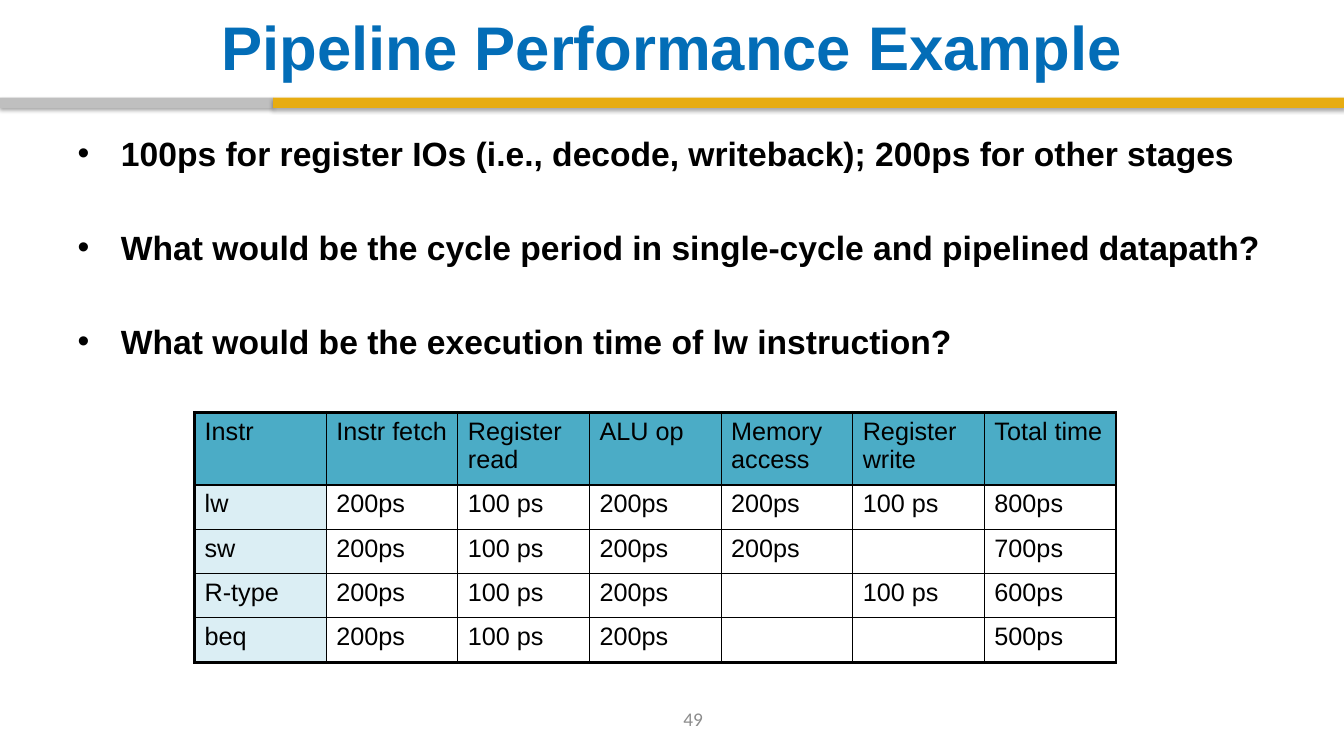
"""Build the slide on pipeline performance, with its table of stage times."""
import pptx
import pptx.dml.color
import pptx.enum.shapes
import pptx.enum.text
import pptx.oxml
import pptx.oxml.ns
import pptx.util

Inches, Pt = pptx.util.Inches, pptx.util.Pt
Align, Anchor = pptx.enum.text.PP_ALIGN, pptx.enum.text.MSO_ANCHOR
NS = pptx.oxml.ns.nsdecls("a")

BLUE, GOLD, GREY, BLACK = "036DB7", "E7AC11", "8C8C8C", "000000"
TITLE = "Pipeline Performance Example"
POINTS = [
    "100ps for register IOs (i.e., decode, writeback); 200ps for other stages",
    "What would be the cycle period in single-cycle and pipelined datapath?",
    "What would be the execution time of lw instruction?",
]
TIMES = [
    ["Instr", "Instr fetch", "Register read", "ALU op", "Memory access",
     "Register write", "Total time"],
    ["lw", "200ps", "100 ps", "200ps", "200ps", "100 ps", "800ps"],
    ["sw", "200ps", "100 ps", "200ps", "200ps", "", "700ps"],
    ["R-type", "200ps", "100 ps", "200ps", "", "100 ps", "600ps"],
    ["beq", "200ps", "100 ps", "200ps", "", "", "500ps"],
]
BARS = [(0, 2.71, "BFBFBF"), (2.71, 10.62, GOLD)]
PAGE = "49"


def tint(hue):
    return pptx.dml.color.RGBColor.from_string(hue)


def write(para, text, size, hue, face="Arial", bold=False):
    run = para.add_run()
    run.text = text
    font = run.font
    font.name, font.size, font.bold = face, Pt(size), bold
    font.color.rgb = tint(hue)


def place(shape, box):
    shape.left, shape.top, shape.width, shape.height = map(Inches, box)
    frame = shape.text_frame
    frame.auto_size = pptx.enum.text.MSO_AUTO_SIZE.NONE
    return frame


def add_bar(slide, left, width, hue):
    kind = pptx.enum.shapes.MSO_SHAPE.RECTANGLE
    bar = slide.shapes.add_shape(kind, *map(Inches, (left, 0.97, width, 0.1)))
    bar.fill.solid()
    bar.fill.fore_color.rgb = tint(hue)
    bar.line.fill.background()
    bar.shadow.inherit = False
    glow = bar.element.spPr.find(pptx.oxml.ns.qn("a:effectLst"))
    glow.append(pptx.oxml.parse_xml(
        f'<a:outerShdw {NS} blurRad="{Pt(3.1)}" dist="{Pt(1.8)}" dir="5400000" '
        f'rotWithShape="0"><a:srgbClr val="{BLACK}"><a:alpha val="35000"/>'
        '</a:srgbClr></a:outerShdw>'))


def add_head(frame):
    frame.vertical_anchor = Anchor.MIDDLE
    para = frame.paragraphs[0]
    para.alignment = Align.CENTER
    write(para, TITLE, 44, BLUE, bold=True)


def add_points(frame):
    for num, point in enumerate(POINTS):
        para = frame.add_paragraph() if num else frame.paragraphs[0]
        props = para._p.get_or_add_pPr()
        props.set("marL", str(Inches(0.43)))
        props.set("indent", str(Inches(-0.43)))
        props.append(pptx.oxml.parse_xml(f'<a:buFont {NS} typeface="Arial"/>'))
        props.append(pptx.oxml.parse_xml(f'<a:buChar {NS} char="•"/>'))
        para.space_before = Pt(38.4 if num else 0)
        write(para, point, 24, BLACK, bold=True)


def edge(cell, sides):
    props = cell._tc.get_or_add_tcPr()
    for num, (side, wide) in enumerate(sides.items()):
        props.insert(num, pptx.oxml.parse_xml(
            f'<a:ln{side} {NS} w="{Pt(wide)}"><a:solidFill>'
            f'<a:srgbClr val="{BLACK}"/></a:solidFill></a:ln{side}>'))


def add_times(slide):
    rows, cols = len(TIMES), len(TIMES[0])
    box = map(Inches, (1.93, 4.09, 9.14, 2.48))
    table = slide.shapes.add_table(rows, cols, *box).table
    table.first_row = table.horz_banding = False
    for col in table.columns:
        col.width = Inches(9.14 / cols)
    for r, line in enumerate(TIMES):
        table.rows[r].height = Inches(0.44 if r else 0.72)
        for c, text in enumerate(line):
            cell = table.cell(r, c)
            if r == 0 or c == 0:
                cell.fill.solid()
                cell.fill.fore_color.rgb = tint("DBEEF4" if r else "4BACC6")
            else:
                cell.fill.background()
            edge(cell, {
                "L": 1 if c else 2.25,
                "R": 2.25 if c == cols - 1 else 1,
                "T": {0: 2.25, 1: 1.5}.get(r, 1),
                "B": {0: 1.5, rows - 1: 2.25}.get(r, 1),
            })
            if text:
                write(cell.text_frame.paragraphs[0], text, 18, BLACK)


def add_page(slide):
    box = map(Inches, (5.32, 6.93, 3.11, 0.4))
    frame = slide.shapes.add_textbox(*box).text_frame
    frame.word_wrap, frame.vertical_anchor = True, Anchor.MIDDLE
    para = frame.paragraphs[0]
    para.alignment = Align.CENTER
    write(para, PAGE, 13.8, GREY, "Calibri")


def main():
    deck = pptx.Presentation()
    deck.slide_width, deck.slide_height = Inches(13.33), Inches(7.5)
    slide = deck.slides.add_slide(deck.slide_layouts[1])
    for bar in BARS:
        add_bar(slide, *bar)
    add_head(place(slide.shapes.title, (0.67, 0.08, 12, 0.76)))
    add_points(place(slide.placeholders[1], (0.67, 1.27, 12.13, 5.43)))
    add_times(slide)
    add_page(slide)
    deck.save("out.pptx")


if __name__ == "__main__":
    main()
